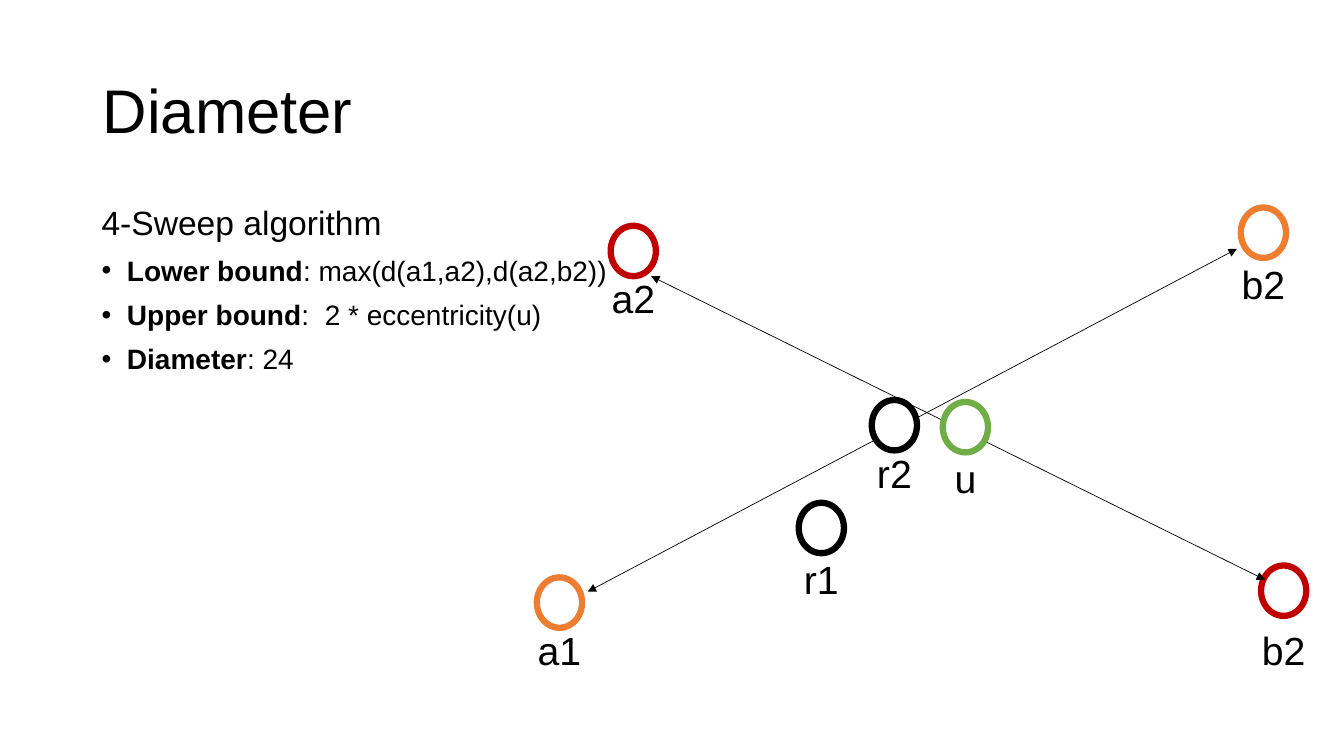
"""Builds the slide on the 4-sweep algorithm for graph diameter."""
from dataclasses import dataclass

from lxml import etree
from pptx import Presentation
from pptx.dml.color import RGBColor
from pptx.enum.shapes import MSO_CONNECTOR, MSO_SHAPE
from pptx.enum.text import MSO_ANCHOR, PP_ALIGN
from pptx.oxml.ns import qn
from pptx.util import Cm, Pt

LINE = MSO_CONNECTOR.STRAIGHT
OVAL = MSO_SHAPE.OVAL
TOP, MIDDLE = MSO_ANCHOR.TOP, MSO_ANCHOR.MIDDLE
LEFT, CENTER = PP_ALIGN.LEFT, PP_ALIGN.CENTER


@dataclass(frozen=True)
class Theme:
    font: str = "Arial"
    black: RGBColor = RGBColor(0x00, 0x00, 0x00)
    white: RGBColor = RGBColor(0xFF, 0xFF, 0xFF)
    orange: RGBColor = RGBColor(0xED, 0x7D, 0x31)
    red: RGBColor = RGBColor(0xC0, 0x00, 0x00)
    green: RGBColor = RGBColor(0x70, 0xAD, 0x47)
    title_size: Pt = Pt(44)
    label_size: Pt = Pt(28)
    lead_size: Pt = Pt(24)
    bullet_size: Pt = Pt(20)
    ring_width: Pt = Pt(4.5)
    sweep_width: Pt = Pt(0.5)


THEME = Theme()
RING_WIDTH, RING_HEIGHT = 1.14, 1.27
LABEL_WIDTH, LABEL_HEIGHT = 2.41, 1.45


@dataclass(frozen=True)
class Node:
    name: str
    center: float
    top: float
    label_top: float
    color: RGBColor


@dataclass(frozen=True)
class Sweep:
    start_x: float
    start_y: float
    end_x: float
    end_y: float


@dataclass(frozen=True)
class Fact:
    term: str
    detail: str


OUTER_NODES = [
    Node("r1", 20.7, 12.67, 13.87, THEME.black),
    Node("b2", 31.84, 5.23, 6.43, THEME.orange),
    Node("a1", 14.1, 14.55, 15.67, THEME.orange),
    Node("a2", 15.96, 5.69, 6.78, THEME.red),
    Node("b2", 32.35, 14.25, 15.67, THEME.red),
]
SWEEPS = [
    Sweep(14.81, 14.91, 31.17, 6.27),
    Sweep(31.88, 14.61, 16.41, 6.96),
]
MIDDLE_NODES = [
    Node("r2", 22.54, 10.08, 11.2, THEME.black),
    Node("u", 24.33, 10.13, 11.33, THEME.green),
]
FACTS = [
    Fact("Lower bound", ": max(d(a1,a2),d(a2,b2))"),
    Fact("Upper bound", ":\u00a0 2 * eccentricity(u)"),
    Fact("Diameter", ": 24"),
]


def add_box(page, left: float, top: float, width: float, height: float, anchor=TOP):
    """Add a wrapping text box and return its text frame."""
    box = page.shapes.add_textbox(Cm(left), Cm(top), Cm(width), Cm(height))
    frame = box.text_frame
    frame.word_wrap = True
    frame.vertical_anchor = anchor
    return frame


def style_para(para, size: Pt, align=LEFT, spacing: float = 0.9, before: Pt = Pt(0)) -> None:
    """Set the font and spacing of a paragraph."""
    para.alignment = align
    para.line_spacing = spacing
    para.space_before = before
    para.font.name = THEME.font
    para.font.size = size
    para.font.color.rgb = THEME.black


def add_bullet(para) -> None:
    """Give a paragraph a hanging round bullet."""
    properties = para._p.get_or_add_pPr()
    properties.set("marL", str(Cm(0.64)))
    properties.set("indent", str(Cm(-0.64)))
    etree.SubElement(properties, qn("a:buFont"), typeface=THEME.font)
    etree.SubElement(properties, qn("a:buChar"), char="•")


def add_node(page, node: Node) -> None:
    """Draw a ring with its name centred below it."""
    left = node.center - RING_WIDTH / 2
    ring = page.shapes.add_shape(OVAL, Cm(left), Cm(node.top), Cm(RING_WIDTH), Cm(RING_HEIGHT))
    ring.shadow.inherit = False
    ring.fill.solid()
    ring.fill.fore_color.rgb = THEME.white
    ring.line.color.rgb = node.color
    ring.line.width = THEME.ring_width
    label_left = node.center - LABEL_WIDTH / 2
    frame = add_box(page, label_left, node.label_top, LABEL_WIDTH, LABEL_HEIGHT)
    para = frame.paragraphs[0]
    para.text = node.name
    style_para(para, THEME.label_size, CENTER, spacing=1.0)


def add_sweep(page, sweep: Sweep) -> None:
    """Draw a thin line with an arrowhead at both ends."""
    arrow = page.shapes.add_connector(
        LINE, Cm(sweep.start_x), Cm(sweep.start_y), Cm(sweep.end_x), Cm(sweep.end_y)
    )
    arrow.line.color.rgb = THEME.black
    arrow.line.width = THEME.sweep_width
    outline = arrow.line._get_or_add_ln()
    for end in ("a:headEnd", "a:tailEnd"):
        etree.SubElement(outline, qn(end), type="triangle")
    etree.SubElement(arrow._element.spPr, qn("a:effectLst"))


def add_title(page) -> None:
    """Write the slide title."""
    para = add_box(page, 2.34, 1.02, 29.21, 3.68, MIDDLE).paragraphs[0]
    para.text = "Diameter"
    style_para(para, THEME.title_size)


def add_summary(page) -> None:
    """Write the algorithm's name and its bounds."""
    frame = add_box(page, 2.31, 5.08, 29.21, 12.09)
    lead = frame.paragraphs[0]
    lead.text = "4-Sweep\u00a0algorithm"
    style_para(lead, THEME.lead_size, before=Pt(10))
    for fact in FACTS:
        para = frame.add_paragraph()
        add_bullet(para)
        style_para(para, THEME.bullet_size, before=Pt(10))
        term = para.add_run()
        term.text = fact.term
        term.font.bold = True
        para.add_run().text = fact.detail


def main() -> None:
    """Build and save the deck."""
    deck = Presentation()
    deck.slide_width, deck.slide_height = Cm(33.87), Cm(19.05)
    page = deck.slides.add_slide(deck.slide_layouts[6])
    add_title(page)
    for node in OUTER_NODES:
        add_node(page, node)
    for sweep in SWEEPS:
        add_sweep(page, sweep)
    for node in MIDDLE_NODES:
        add_node(page, node)
    add_summary(page)
    deck.save("out.pptx")


main()
